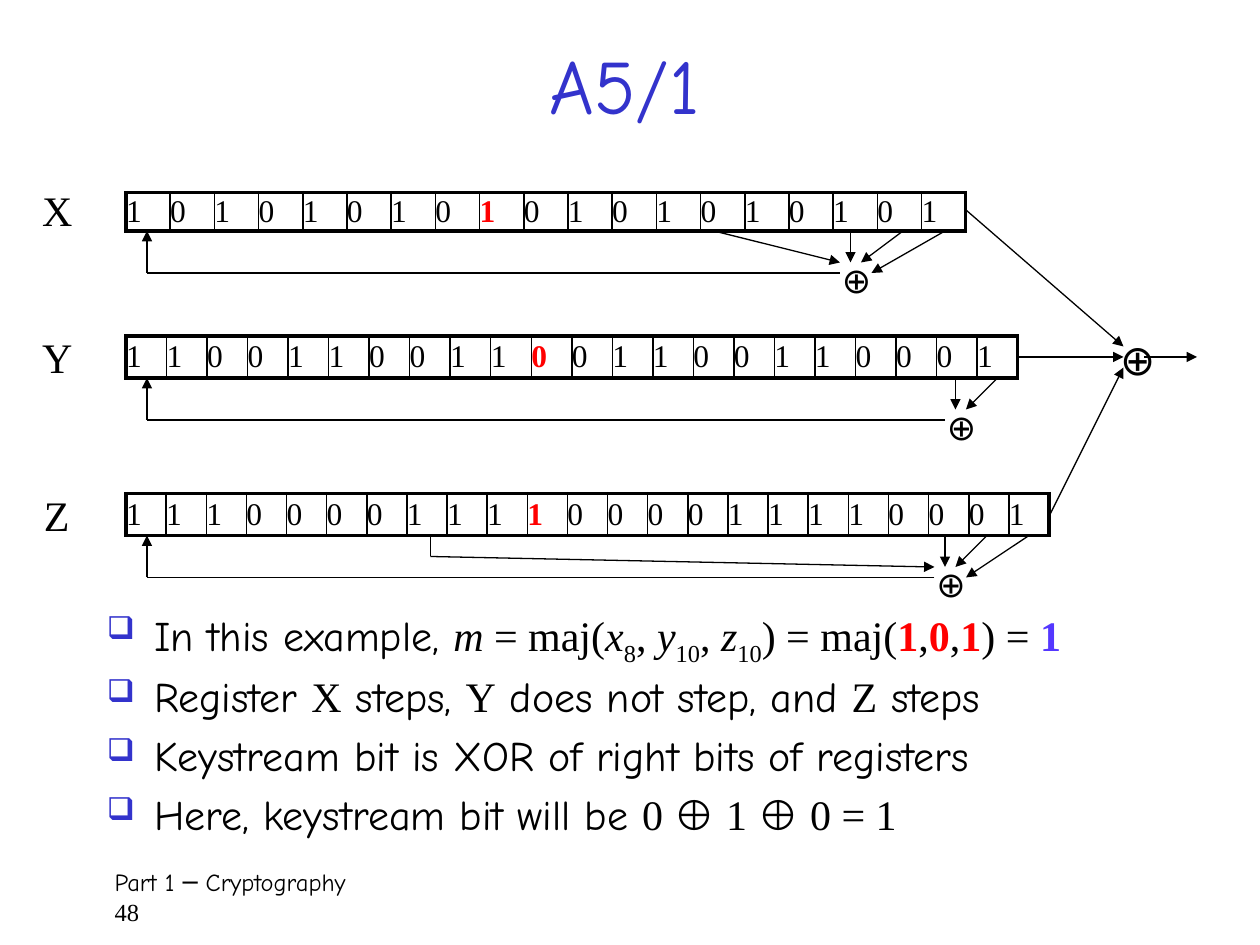
from lxml.etree import SubElement
from pptx import Presentation
from pptx.dml.color import RGBColor
from pptx.enum.shapes import MSO_CONNECTOR
from pptx.enum.text import MSO_ANCHOR, MSO_AUTO_SIZE, PP_ALIGN
from pptx.oxml.ns import qn
from pptx.util import Pt

SANS, SERIF = "Comic Neue", "Times New Roman"
BLACK, BLUE, RED, VIOLET = "000000", "3333CC", "FF0000", "5437FF"

STYLES = {
    "text": {"name": SANS},
    "math": {"name": SERIF},
    "var": {"name": SERIF, "italic": True},
    "sub": {"name": SERIF},
    "red": {"name": SERIF, "bold": True, "color": RED},
    "result": {"name": SERIF, "bold": True, "color": VIOLET},
}

# Register name, label position, table box, bits, index of the clocking bit
REGISTERS = [
    ("X", (17, 102), (72, 110, 480, 22), "1010101010101010101", 8),
    ("Y", (17, 186), (72, 192, 510, 24), "1100110011001100110001"[:18] + "0001", 10),
    ("Z", (18, 276), (72, 282, 528, 24), "11100001111000011110001", 10),
]

# Register bottom, tap arrows (x, end x, end y), feedback start x and y
TAPS = [
    (132, [(408, 480, 150), (486, 486, 150), (516, 492, 150), (540, 498, 156)], (480, 156)),
    (216, [(546, 546, 234), (570, 552, 234)], (540, 240)),
    (306, [(540, 540, 324), (564, 546, 324), (588, 552, 330)], (534, 330)),
]
FEEDBACK_X = 84

# Left, top, text size of each XOR sign
XOR_SIGNS = [(474, 144, 20), (534, 228, 20), (528, 318, 20), (633, 187, 24)]

# Arrows into and out of the output XOR
OUTPUT_ARROWS = [
    (552, 120, 642, 198), (582, 204, 642, 204),
    (600, 294, 642, 210), (654, 204, 684, 204),
]

BULLETS = [
    [("In this example, ", "text"), ("m", "var"), (" = maj(", "math"),
     ("x", "var"), ("8", "sub"), (", ", "math"), ("y", "var"), ("10", "sub"),
     (", ", "math"), ("z", "var"), ("10", "sub"), (") = maj(", "math"),
     ("1", "red"), (",", "math"), ("0", "red"), (",", "math"), ("1", "red"),
     (") = ", "math"), ("1", "result")],
    [("Register ", "text"), ("X", "math"), (" steps, ", "text"), ("Y", "math"),
     (" does not step, and ", "text"), ("Z", "math"), (" steps", "text")],
    [("Keystream bit is XOR of right bits of registers", "text")],
    [("Here, keystream bit will be ", "text"), ("0 ⊕ 1 ⊕ 0 = 1", "math")],
]


def rgb(value):
    return RGBColor.from_string(value)


def add_run(p, text, size, style="text", **changes):
    r = p.add_run()
    r.text = text
    values = {"size": Pt(size), "color": BLACK, **STYLES[style], **changes}
    r.font.color.rgb = rgb(values.pop("color"))
    for name, value in values.items():
        setattr(r.font, name, value)
    if style == "sub":
        r.font._element.set("baseline", "-25000")


def add_text_box(slide, left, top, width, height, wrap=True):
    tf = slide.shapes.add_textbox(Pt(left), Pt(top), Pt(width), Pt(height)).text_frame
    tf.word_wrap = wrap
    return tf


def add_sign(slide, left, top, text, size, style):
    tf = add_text_box(slide, left, top, size * 0.7 + 14.4, size * 1.2 + 7.2, wrap=False)
    add_run(tf.paragraphs[0], text, size, style)


def add_title(slide, text):
    sp = slide.shapes.title
    for name, value in {"left": 54, "top": 24, "width": 606, "height": 48}.items():
        setattr(sp, name, Pt(value))
    tf = sp.text_frame
    tf.auto_size = MSO_AUTO_SIZE.NONE
    tf.vertical_anchor = MSO_ANCHOR.MIDDLE
    p = tf.paragraphs[0]
    p.alignment = PP_ALIGN.CENTER
    add_run(p, text, 44, color=BLUE)


def add_border(cell, side, width):
    ln = SubElement(cell._tc.get_or_add_tcPr(), qn(f"a:ln{side}"), w=str(Pt(width)))
    SubElement(SubElement(ln, qn("a:solidFill")), qn("a:srgbClr"), val=BLACK)


def add_register(slide, box, bits, clock):
    table = slide.shapes.add_table(1, len(bits), *map(Pt, box)).table
    table.first_row = table.horz_banding = False
    last = len(bits) - 1
    for i, bit in enumerate(bits):
        table.columns[i].width = Pt(box[2] / len(bits))
        cell = table.cell(0, i)
        for side in ("margin_left", "margin_right", "margin_top", "margin_bottom"):
            setattr(cell, side, 0)
        cell.vertical_anchor = MSO_ANCHOR.MIDDLE
        add_run(cell.text_frame.paragraphs[0], bit, 18, "red" if i == clock else "math")
        widths = {"L": 2.25 if i == 0 else 1, "R": 2.25 if i == last else 1,
                  "T": 2.25, "B": 2.25}
        for side, width in widths.items():
            add_border(cell, side, width)
        cell.fill.background()


def add_line(slide, x1, y1, x2, y2, arrow=True):
    line = slide.shapes.add_connector(MSO_CONNECTOR.STRAIGHT, *map(Pt, (x1, y1, x2, y2)))
    line.line.color.rgb = rgb(BLACK)
    line.line.width = Pt(0.75)
    if arrow:
        SubElement(line.line._get_or_add_ln(), qn("a:tailEnd"), type="triangle")
    SubElement(line._element.spPr, qn("a:effectLst"))


def add_bullets(slide, bullets):
    tf = add_text_box(slide, 54, 348, 612, 138)
    for i, runs in enumerate(bullets):
        p = tf.add_paragraph() if i else tf.paragraphs[0]
        pPr = p._p.get_or_add_pPr()
        pPr.set("marL", str(Pt(27)))
        pPr.set("indent", str(-Pt(27)))
        SubElement(SubElement(pPr, qn("a:buClr")), qn("a:srgbClr"), val=BLUE)
        SubElement(pPr, qn("a:buSzPct"), val="75000")
        SubElement(pPr, qn("a:buChar"), char="❑")
        p.line_spacing = 0.8
        p.space_before = Pt(4.8 if i else 0)
        p.space_after = Pt(6)
        for text, style in runs:
            add_run(p, text, 24, style)


def add_footer(slide):
    tf = add_text_box(slide, 54, 492, 618, 36)
    tf.margin_left = Pt(11.5)
    p = tf.paragraphs[0]
    add_run(p, "Part 1 ─ Cryptography", 14)
    p.add_line_break()
    add_run(p, "48", 14, "math")


def main():
    prs = Presentation()
    prs.slide_width, prs.slide_height = Pt(720), Pt(540)
    slide = prs.slides.add_slide(prs.slide_layouts[5])

    add_title(slide, "A5/1")
    add_bullets(slide, BULLETS)
    add_footer(slide)

    # Shift registers
    for name, (left, top), box, bits, clock in REGISTERS:
        add_sign(slide, left, top, name, 24, "math")
        add_register(slide, box, bits, clock)

    # XOR signs
    for left, top, size in XOR_SIGNS:
        add_sign(slide, left, top, "⊕", size, "text")

    # Taps and feedback loops
    for bottom, taps, (x, y) in TAPS:
        for start, end_x, end_y in taps:
            add_line(slide, start, bottom, end_x, end_y)
        add_line(slide, x, y, FEEDBACK_X, y, arrow=False)
        add_line(slide, FEEDBACK_X, y, FEEDBACK_X, bottom)

    # Bent tap of register Z
    add_line(slide, 246, 306, 246, 318, arrow=False)
    add_line(slide, 246, 318, 534, 324)

    # Keystream output
    for ends in OUTPUT_ARROWS:
        add_line(slide, *ends)

    prs.save("out.pptx")


if __name__ == "__main__":
    main()
